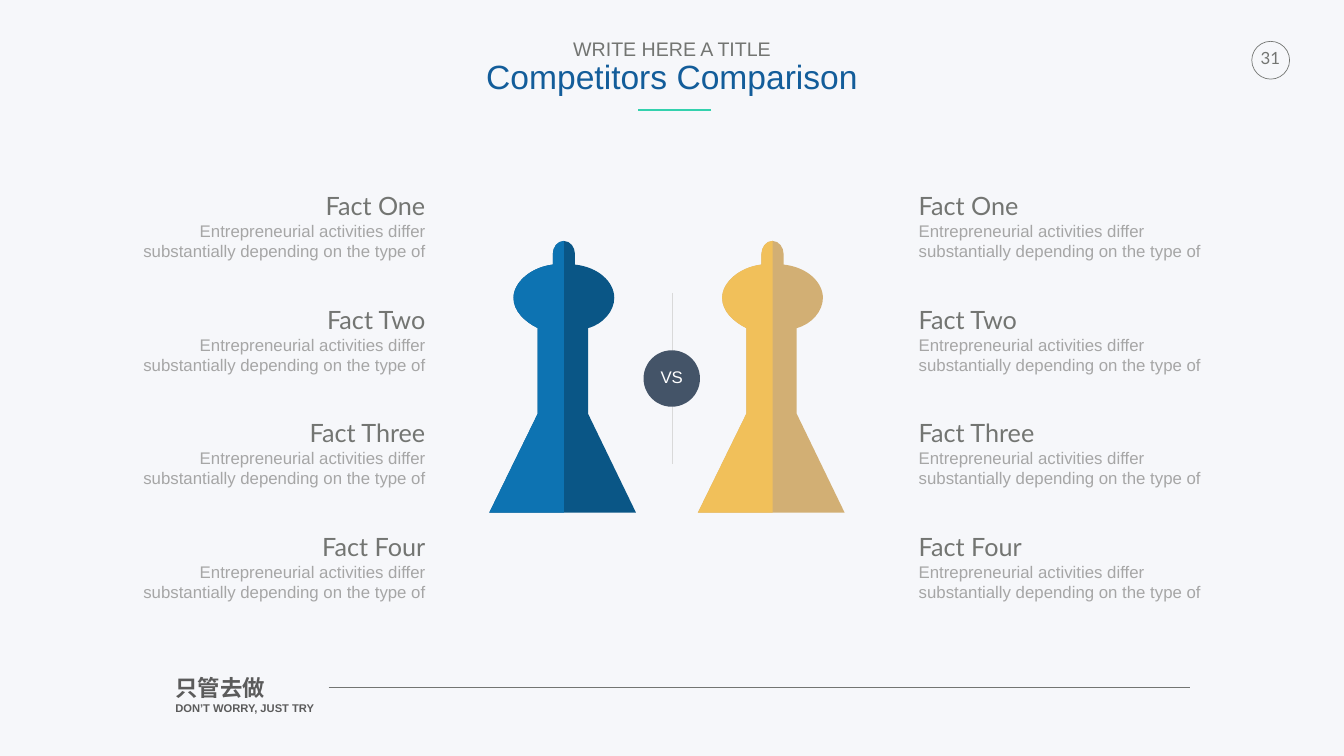
"""Build a competitors comparison slide with two chess pieces and four facts a side."""
from pptx import Presentation
from pptx.dml.color import RGBColor
from pptx.enum.shapes import MSO_CONNECTOR as MC, MSO_SHAPE as MS
from pptx.enum.text import MSO_ANCHOR as MA, MSO_AUTO_SIZE as AS, PP_ALIGN as PA
from pptx.oxml.ns import qn
from pptx.util import Inches, Pt


def rgb(value):
    return RGBColor.from_string(value)


def add_text(shapes, box, lines, align=PA.LEFT, wrap=True, inset=0.05, spacing=None, anchor=MA.TOP):
    tf = shapes.add_textbox(*map(Inches, box)).text_frame
    frame = {"word_wrap": wrap, "auto_size": AS.SHAPE_TO_FIT_TEXT, "vertical_anchor": anchor}
    frame.update({f"margin_{side}": Inches(inset) for side in ("left", "top", "right", "bottom")})
    for name, value in frame.items():
        setattr(tf, name, value)
    for i, (text, size, font, color, bold) in enumerate(lines):
        p = tf.add_paragraph() if i else tf.paragraphs[0]
        p.alignment = align
        if spacing:
            p.line_spacing = spacing
        r = p.add_run()
        r.text = text
        for name, value in {"size": Pt(size), "name": font, "bold": bold}.items():
            setattr(r.font, name, value)
        r.font.color.rgb = rgb(color)


prs = Presentation()
prs.slide_width, prs.slide_height = Inches(26.67), Inches(15)
s = prs.slides.add_slide(prs.slide_layouts[6])
s.background.fill.solid()
s.background.fill.fore_color.rgb = rgb("F6F7FA")

badge = s.shapes.add_shape(MS.OVAL, *map(Inches, (24.84, 0.82, 0.75, 0.75)))
badge.shadow.inherit = False
badge.fill.background()
badge.line.color.rgb = rgb("737572")
badge.line.width = Pt(1)
add_text(s.shapes, (24.92, 0.9, 0.58, 0.5), [("31", 24, "Lato", "737572", False)], PA.CENTER, False)

add_text(s.shapes, (3.43, 13.33, 3.99, 0.99), [
    ("只管去做", 32, "Arial", "5B5B5B", True),
    ("DON’T WORRY, JUST TRY", 16, "Arial", "5B5B5B", True),
])
add_text(s.shapes, (9.59, 0.74, 7.49, 1.33), [
    ("WRITE HERE A TITLE", 28, "Arial", "737572", False),
    ("Competitors Comparison", 48, "Arial", "135D9A", False),
], PA.CENTER, False, spacing=0.9)

for x1, y1, x2, y2, color, width in [
    (6.52, 13.64, 23.62, 13.64, "737572", 0.25),
    (14.11, 2.18, 12.67, 2.18, "33D1AD", 3),
    (13.34, 5.81, 13.34, 9.21, "D9D9D9", 2),
]:
    line = s.shapes.add_connector(MC.STRAIGHT, *map(Inches, (x1, y1, x2, y2)))
    line.line.color.rgb = rgb(color)
    line.line.width = Pt(width)
    sp_pr = line._element.spPr
    sp_pr.append(sp_pr.makeelement(qn("a:effectLst"), {}))

TOP = (1.48, 0)
LEFT_HALF = [
    [(1.35, 0), (1.26, 0.13), (1.26, 0.26)], [(1.26, 0.47)],
    [(0.83, 0.52), (0.48, 0.82), (0.48, 1.13)],
    [(0.48, 1.39), (0.7, 1.6), (0.96, 1.73)],
    [(0.96, 3.43)], [(0, 5.39)], [(1.48, 5.39)],
]
RIGHT_HALF = [
    [(2.91, 5.39)], [(1.96, 3.43)], [(1.96, 1.73)],
    [(2.26, 1.65), (2.48, 1.39), (2.48, 1.13)],
    [(2.48, 0.82), (2.17, 0.52), (1.7, 0.47)], [(1.7, 0.26)],
    [(1.7, 0.13), (1.61, 0), TOP],
]
for left, dark, light in [(9.71, "0A5686", "0D73B2"), (13.85, "D2AF74", "F1C05A")]:
    piece = s.shapes.add_group_shape()
    for segments, color in [(LEFT_HALF + RIGHT_HALF, dark), (LEFT_HALF, light)]:
        corners = [TOP] + [segment[-1] for segment in segments]
        points = [(Inches(left + x), Inches(4.78 + y)) for x, y in corners]
        builder = piece.shapes.build_freeform(*points[0])
        builder.add_line_segments(points[1:], close=True)
        sp = builder.convert_to_shape()
        for edge, segment in zip(list(sp._element.iter(qn("a:lnTo"))), segments):
            if len(segment) == 3:
                edge.tag = qn("a:cubicBezTo")
                for i, (x, y) in enumerate(segment[:2]):
                    edge.insert(i, edge.makeelement(qn("a:pt"), {"x": str(Inches(x)), "y": str(Inches(y))}))
        sp.shadow.inherit = False
        sp.fill.solid()
        sp.fill.fore_color.rgb = rgb(color)
        sp.line.fill.background()

versus = s.shapes.add_group_shape()
disc = versus.shapes.add_shape(MS.OVAL, *map(Inches, (12.77, 6.95, 1.12, 1.12)))
disc.shadow.inherit = False
disc.fill.solid()
disc.fill.fore_color.rgb = rgb("445468")
disc.line.fill.background()
add_text(versus.shapes, (13.1, 7.31, 0.46, 0.4), [("VS", 24, "Arial", "FFFFFF", False)],
         PA.CENTER, False, 0, 0.89, MA.MIDDLE)

for left, align in [(18.18, PA.LEFT), (2.24, PA.RIGHT)]:
    for number, top in zip(("One", "Two", "Three", "Four"), (3.72, 5.99, 8.23, 10.49)):
        add_text(s.shapes, (left, top, 6.25, 1.51), [
            (f"Fact {number}", 36, "Lato", "737572", False),
            ("Entrepreneurial activities differ substantially depending on the type of",
             24, "Arial", "A6A6A6", False),
        ], align)

prs.save("out.pptx")
